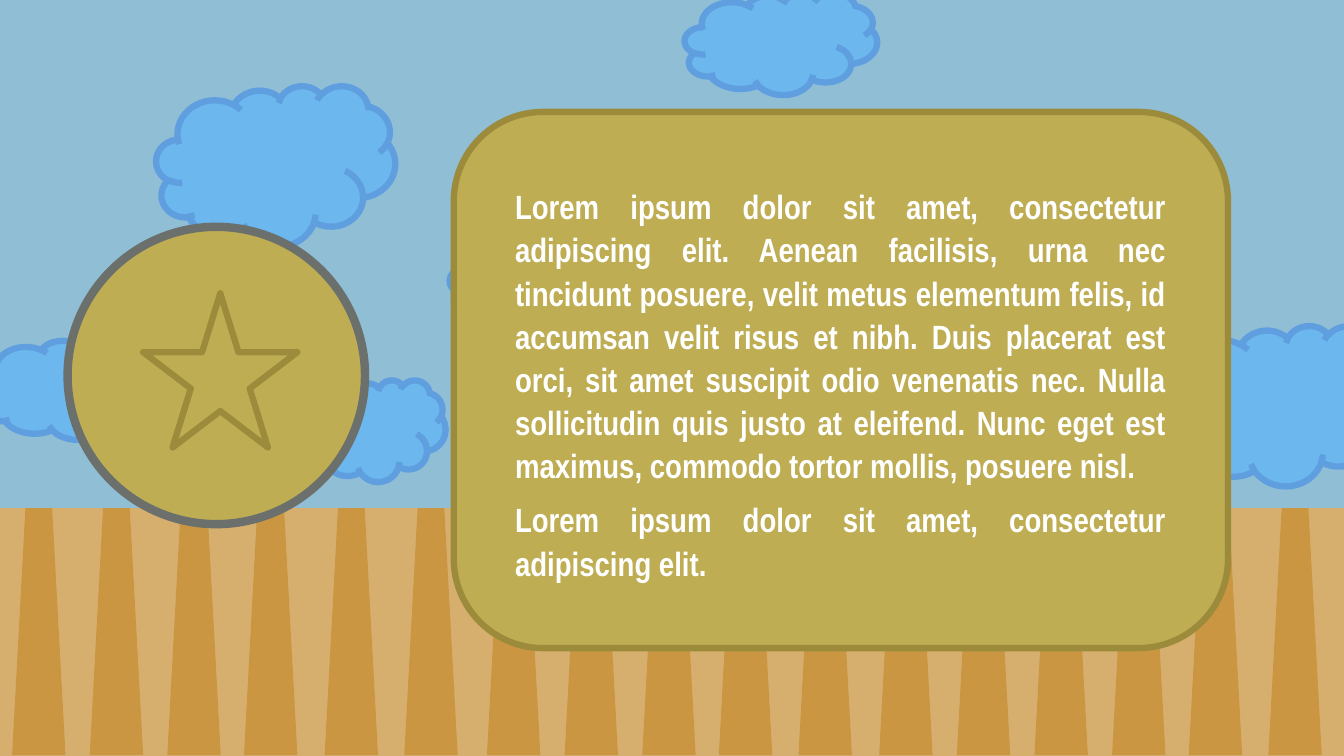
from pptx import Presentation
from pptx.dml.color import RGBColor
from pptx.enum import shapes, text
from pptx.util import Inches, Pt

SKY = RGBColor(0x90, 0xBE, 0xD5)
CLOUD = RGBColor(0x6C, 0xB8, 0xEE)
CLOUD_EDGE = RGBColor(0x5F, 0x9F, 0xE0)
FLOOR = RGBColor(0xD6, 0xAF, 0x6E)
PLANK = RGBColor(0xCA, 0x96, 0x42)
GOLD = RGBColor(0xBE, 0xAD, 0x53)
GOLD_EDGE = RGBColor(0x9B, 0x8B, 0x3B)
BADGE_EDGE = RGBColor(0x6B, 0x70, 0x6C)
WHITE = RGBColor(0xFF, 0xFF, 0xFF)

FONT = "Arial Narrow"
PARAGRAPHS = [
    "Lorem ipsum dolor sit amet, consectetur adipiscing elit. Aenean facilisis, "
    "urna nec tincidunt posuere, velit metus elementum felis, id accumsan velit "
    "risus et nibh. Duis placerat est orci, sit amet suscipit odio venenatis nec. "
    "Nulla sollicitudin quis justo at eleifend. Nunc eget est maximus, commodo "
    "tortor mollis, posuere nisl.",
    "Lorem ipsum dolor sit amet, consectetur adipiscing elit.",
]

WIDTH, HEIGHT = 13.33, 7.5
HORIZON = 5.04
CLOUDS = [  # left, top, width, height
    (1.55, 0.85, 2.37, 1.59),
    (4.46, 2.31, 1.91, 1.01),
    (11.54, 3.23, 2.37, 1.59),
    (6.79, -0.07, 1.91, 1.01),
    (-0.21, 3.35, 1.91, 1.01),
    (3.05, 3.77, 1.37, 1.01),
]
PLANK_WIDTH, PLANK_HEIGHT = 0.53, 2.45
PLANK_LEFTS = [0.12, 0.89, 1.66, 2.42, 3.22, 4.01, 4.83, 5.6, 6.37, 7.13,
               7.92, 8.72, 9.49, 10.26, 11.03, 11.79, 12.58]
PANEL = (4.5, 1.11, 7.68, 5.32)
BADGE = (0.67, 2.25, 2.95, 2.95)
STAR = (1.42, 2.91, 1.53, 1.53)
BODY = (5.01, 1.77, 6.65, 4.07)


def add_figure(slide, kind, box, fill, edge=None, edge_width=4.5):
    """Add a flat preset shape, outlined only when an edge colour is given."""
    shape = slide.shapes.add_shape(kind, *map(Inches, box))
    shape.shadow.inherit = False
    shape.fill.solid()
    shape.fill.fore_color.rgb = fill
    if edge is None:
        shape.line.fill.background()
    else:
        shape.line.color.rgb = edge
        shape.line.width = Pt(edge_width)
    return shape


def add_body(slide):
    frame = slide.shapes.add_textbox(*map(Inches, BODY)).text_frame
    frame.word_wrap = True
    frame.auto_size = text.MSO_AUTO_SIZE.SHAPE_TO_FIT_TEXT
    frame.text = "\n".join(PARAGRAPHS)
    for paragraph in frame.paragraphs:
        paragraph.alignment = text.PP_ALIGN.JUSTIFY
        paragraph.line_spacing = 1.07
        paragraph.space_after = Pt(8)
        for run in paragraph.runs:
            run.font.name = FONT
            run.font.size = Pt(24)
            run.font.bold = True
            run.font.color.rgb = WHITE


def main():
    presentation = Presentation()
    presentation.slide_width = Inches(WIDTH)
    presentation.slide_height = Inches(HEIGHT)
    slide = presentation.slides.add_slide(presentation.slide_layouts[6])
    kinds = shapes.MSO_SHAPE

    add_figure(slide, kinds.RECTANGLE, (0, 0, WIDTH, HEIGHT), SKY)
    for box in CLOUDS:
        add_figure(slide, kinds.CLOUD, box, CLOUD, CLOUD_EDGE)
    add_figure(slide, kinds.RECTANGLE, (0, HORIZON, WIDTH, HEIGHT - HORIZON), FLOOR)
    for left in PLANK_LEFTS:
        add_figure(slide, kinds.TRAPEZOID,
                   (left, HORIZON, PLANK_WIDTH, PLANK_HEIGHT), PLANK)

    add_figure(slide, kinds.ROUNDED_RECTANGLE, PANEL, GOLD, GOLD_EDGE)
    add_figure(slide, kinds.FLOWCHART_CONNECTOR, BADGE, GOLD, BADGE_EDGE, 6)
    add_body(slide)
    add_figure(slide, kinds.STAR_5_POINT, STAR, GOLD, GOLD_EDGE)
    presentation.save("out.pptx")


if __name__ == "__main__":
    main()
